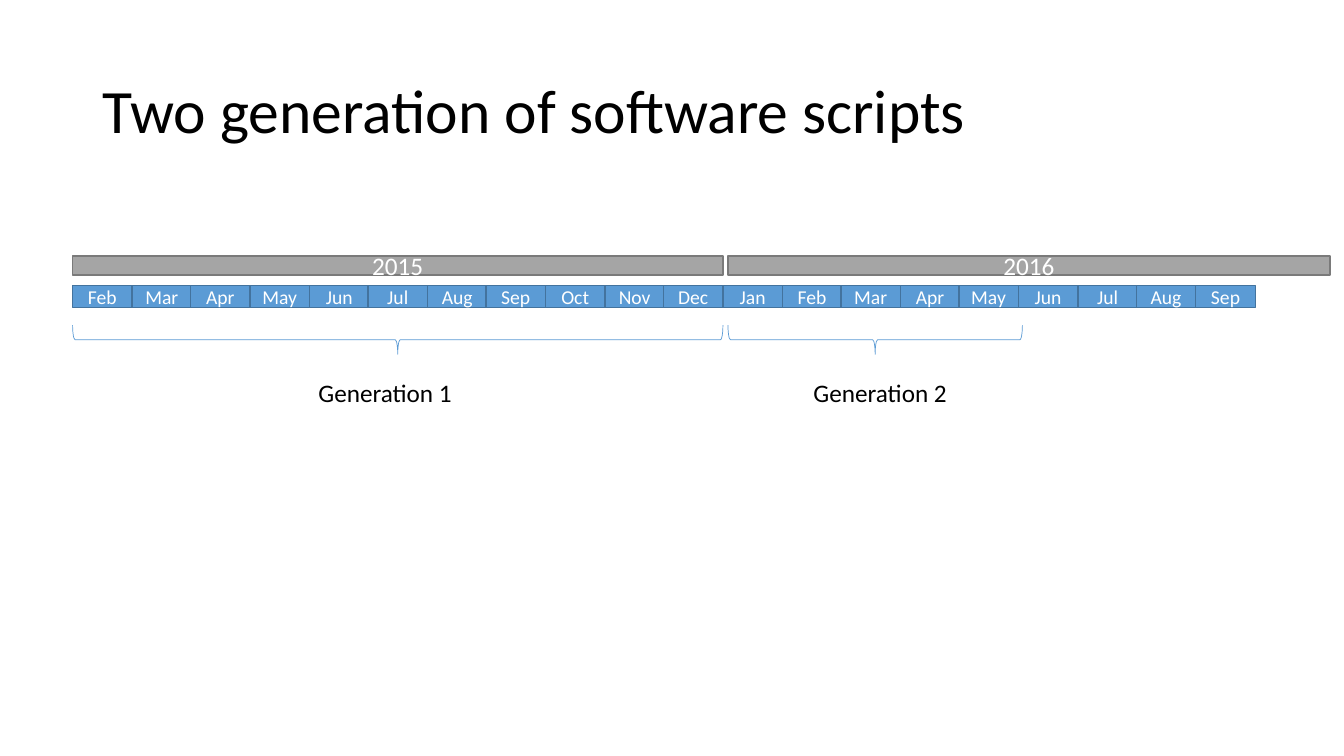
from pptx import Presentation
from pptx.dml.color import RGBColor
from pptx.enum.shapes import MSO_SHAPE as Shape
from pptx.enum.text import MSO_ANCHOR as Anchor, MSO_AUTO_SIZE as AutoSize, PP_ALIGN as Align
from pptx.util import Pt

PX = 9144  # 100 px to the inch
COLORS = {
    "month": "5B9BD5", "month_line": "43739E",
    "year": "A5A5A5", "year_line": "7A7A7A",
    "light": "FFFFFF", "dark": "000000",
}
MONTHS = "Feb Mar Apr May Jun Jul Aug Sep Oct Nov Dec Jan Feb Mar Apr May Jun Jul Aug Sep".split()
TIMELINE_LEFT, SECOND_YEAR_LEFT = 72, 722
LAST_MONTH_LEFT = 1186
MONTH_WIDTH = 59


def write(shape, text, size, color, align=Align.LEFT):
    paragraph = shape.text_frame.paragraphs[0]
    paragraph.text = text
    paragraph.alignment = align
    font = paragraph.runs[0].font
    font.name = "Calibri"
    font.size = Pt(size)
    font.color.rgb = RGBColor.from_string(COLORS[color])
    return paragraph


def add_bar(text, left, top, width, height, size, color):
    bar = slide.shapes.add_shape(Shape.RECTANGLE, left * PX, top * PX, width * PX, height * PX)
    bar.shadow.inherit = False
    bar.fill.solid()
    bar.fill.fore_color.rgb = RGBColor.from_string(COLORS[color])
    bar.line.color.rgb = RGBColor.from_string(COLORS[color + "_line"])
    bar.line.width = Pt(1)
    bar.text_frame.vertical_anchor = Anchor.MIDDLE
    write(bar, text, size, "light", Align.CENTER)


presentation = Presentation()
presentation.slide_width = 1333 * PX
presentation.slide_height = 750 * PX
slide = presentation.slides.add_slide(presentation.slide_layouts[5])

title = slide.shapes.title
title.left, title.top, title.width, title.height = 92 * PX, 40 * PX, 1150 * PX, 145 * PX
title.text_frame.vertical_anchor = Anchor.MIDDLE
write(title, "Two generation of software scripts", 44, "dark").line_spacing = 0.9

# Months, evenly spaced from the first to the last
month_step = (LAST_MONTH_LEFT - TIMELINE_LEFT) / (len(MONTHS) - 1)
for index, month in enumerate(MONTHS):
    add_bar(month, TIMELINE_LEFT + round(index * month_step), 283, MONTH_WIDTH, 22, 14, "month")

# Generations: each brace is a left brace turned to point down
for label, left, width, label_left in [
    ("Generation 1", TIMELINE_LEFT, 645, 306),
    ("Generation 2", SECOND_YEAR_LEFT, 292, 797),
]:
    depth, middle = 29, 337
    brace = slide.shapes.add_shape(
        Shape.LEFT_BRACE, round((left + (width - depth) / 2) * PX),
        round((middle - width / 2) * PX), depth * PX, width * PX)
    brace.rotation = 270
    brace.shadow.inherit = False
    brace.fill.background()
    brace.line.color.rgb = RGBColor.from_string(COLORS["month"])
    brace.line.width = Pt(0.5)

    caption = slide.shapes.add_textbox(label_left * PX, 369 * PX, 154 * PX, 40 * PX)
    caption.text_frame.word_wrap = False
    caption.text_frame.auto_size = AutoSize.SHAPE_TO_FIT_TEXT
    write(caption, label, 18, "dark")

for year, left, width in [("2015", TIMELINE_LEFT, 645), ("2016", SECOND_YEAR_LEFT, 597)]:
    add_bar(year, left, 254, width, 19, 18, "year")

presentation.save("out.pptx")
